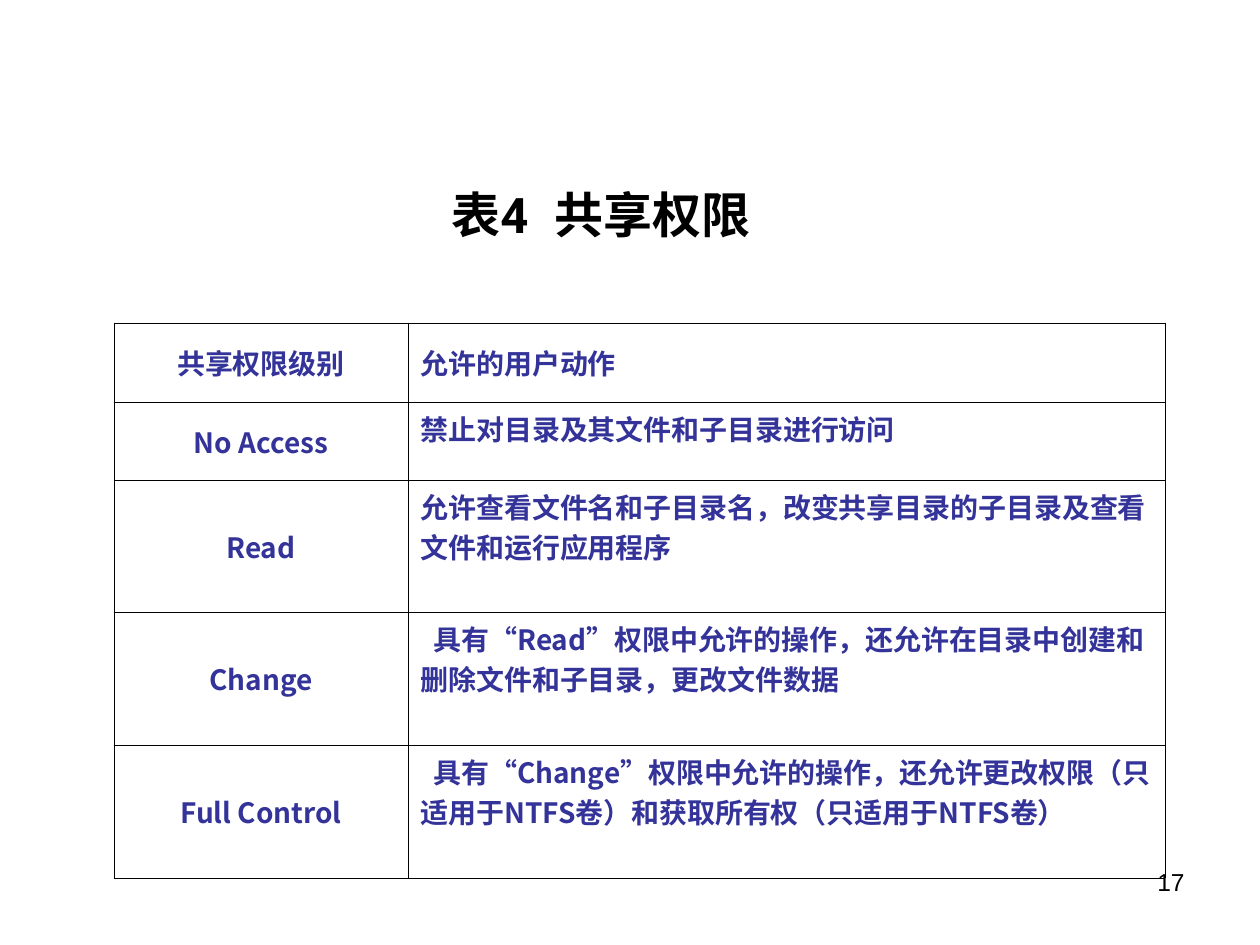
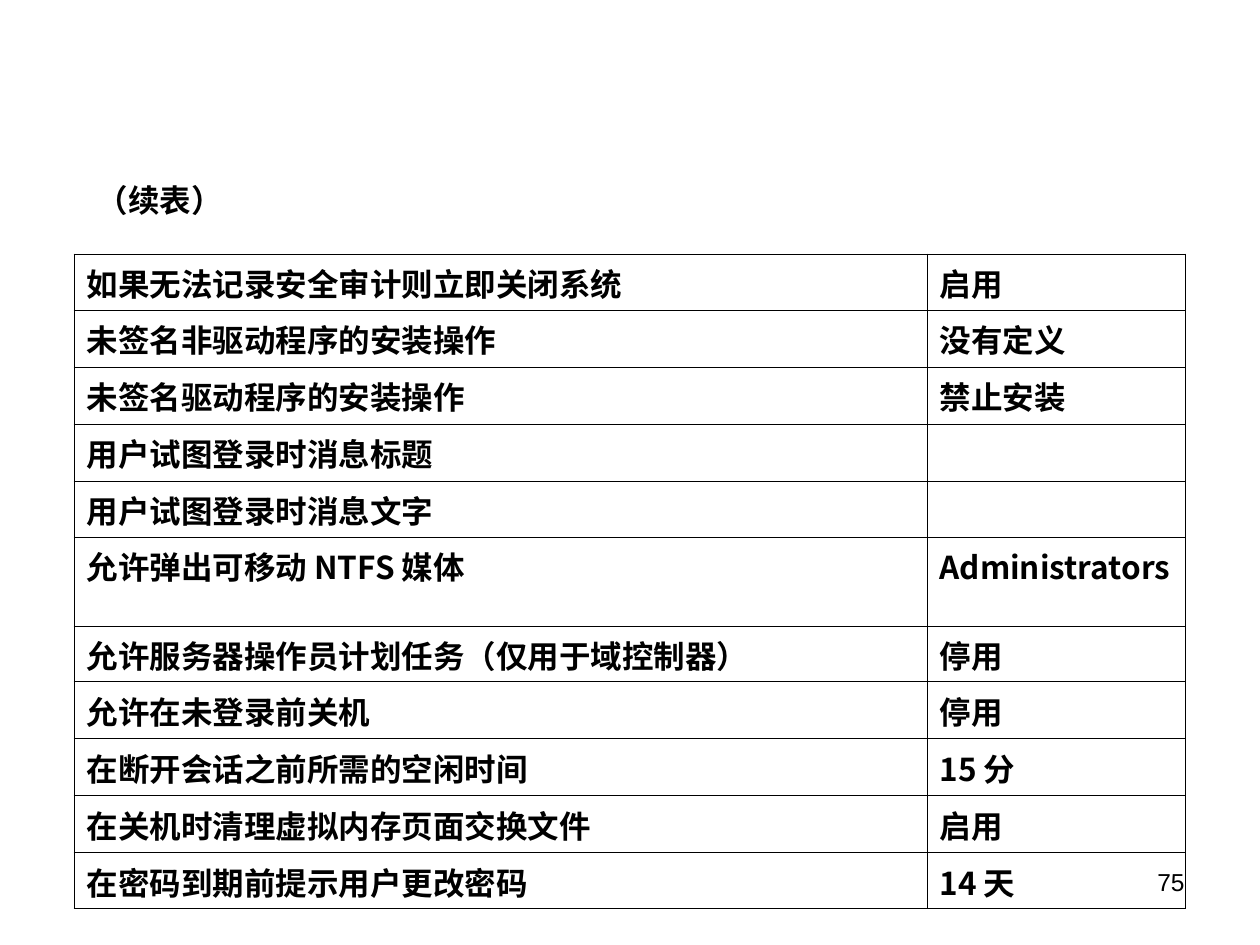
from itertools import groupby

from lxml import etree
from pptx import Presentation
from pptx.dml.color import RGBColor
from pptx.enum import text
from pptx.oxml.ns import qn
from pptx.util import Pt

PX = 914400 / 126  # EMU in one pixel
BLACK = RGBColor(0x00, 0x00, 0x00)
INDIGO = RGBColor(0x33, 0x33, 0x99)
SANS, CJK, DIGITS, QUOTES = "Arial", "Noto Sans CJK SC", "Roboto", "Times New Roman"
TITLE_ONLY = 5
PAGE_NUMBER_BOX = (903, 861, 294, 65)

PERMISSIONS = [
    ("共享权限级别", "允许的用户动作"),
    ("No Access", "禁止对目录及其文件和子目录进行访问"),
    ("Read", "允许查看文件名和子目录名，改变共享目录的子目录及查看文件和运行应用程序"),
    ("Change", "具有“Read”权限中允许的操作，还允许在目录中创建和删除文件和子目录，更改文件数据"),
    ("Full Control", "具有“Change”权限中允许的操作，还允许更改权限"
                     "（只适用于NTFS卷）和获取所有权（只适用于NTFS卷）"),
]
SECURITY_OPTIONS = [
    ("如果无法记录安全审计则立即关闭系统", "启用"),
    ("未签名非驱动程序的安装操作", "没有定义"),
    ("未签名驱动程序的安装操作", "禁止安装"),
    ("用户试图登录时消息标题", ""),
    ("用户试图登录时消息文字", ""),
    ("允许弹出可移动 NTFS 媒体", "Administrators"),
    ("允许服务器操作员计划任务（仅用于域控制器）", "停用"),
    ("允许在未登录前关机", "停用"),
    ("在断开会话之前所需的空闲时间", "15 分"),
    ("在关机时清理虚拟内存页面交换文件", "启用"),
    ("在密码到期前提示用户更改密码", "14 天"),
]


def emu(pixels):
    return round(pixels * PX)


def add_run(paragraph, words, font, size, color=BLACK, bold=True):
    run = paragraph.add_run()
    run.text = words
    run.font.name = font
    run.font.size = Pt(size)
    run.font.bold = bold
    run.font.color.rgb = color
    east_asian = etree.SubElement(run.font._element, qn("a:ea"))
    east_asian.set("typeface", CJK)
    return run


def place_title(slide, box, runs, size, alignment):
    title = slide.shapes.title
    title.left, title.top, title.width, title.height = map(emu, box)
    frame = title.text_frame
    frame.auto_size = text.MSO_AUTO_SIZE.NONE
    frame.vertical_anchor = text.MSO_ANCHOR.TOP
    frame.word_wrap = True
    paragraph = frame.paragraphs[0]
    paragraph.alignment = alignment
    return [add_run(paragraph, words, font, size) for words, font in runs]


def add_page_number(slide, number):
    frame = slide.shapes.add_textbox(*map(emu, PAGE_NUMBER_BOX)).text_frame
    frame.word_wrap = True
    paragraph = frame.paragraphs[0]
    paragraph.alignment = text.PP_ALIGN.RIGHT
    add_run(paragraph, str(number), SANS, 14, bold=False)


def draw_borders(cell):
    cell.fill.background()
    properties = cell._tc.get_or_add_tcPr()
    for index, side in enumerate(("a:lnL", "a:lnR", "a:lnT", "a:lnB")):
        line = etree.Element(qn(side), w=str(Pt(0.45)))
        fill = etree.SubElement(line, qn("a:solidFill"))
        etree.SubElement(fill, qn("a:srgbClr"), val=str(BLACK))
        properties.insert(index, line)


def fill_cell(cell, words, size, color):
    draw_borders(cell)
    paragraph = cell.text_frame.paragraphs[0]
    # Quotation marks have a font of their own
    for is_quote, letters in groupby(words, lambda letter: letter in "“”"):
        add_run(paragraph, "".join(letters), QUOTES if is_quote else CJK, size, color)
    return paragraph


def add_grid(slide, left, top, columns, heights, rows, size, color):
    """Add a bordered table and return it with its paragraphs, row by row."""
    box = (left, top, sum(columns), sum(heights))
    table = slide.shapes.add_table(len(rows), len(columns), *map(emu, box)).table
    table.first_row = table.horz_banding = False
    for column, width in zip(table.columns, columns):
        column.width = emu(width)
    for row, height in zip(table.rows, heights):
        row.height = emu(height)
    paragraphs = [[fill_cell(cell, words, size, color)
                   for cell, words in zip(row.cells, entries)]
                  for row, entries in zip(table.rows, rows)]
    return table, paragraphs


def add_permissions_slide(presentation):
    slide = presentation.slides.add_slide(presentation.slide_layouts[TITLE_ONLY])
    add_page_number(slide, 17)
    runs = place_title(slide, (422, 178, 358, 131),
                       [("表", SANS), ("4", DIGITS), (" ", DIGITS), ("共享权限", SANS)],
                       28, text.PP_ALIGN.CENTER)
    # Widen the gap after the table number by 8 pt
    runs[2].font._element.set("spc", "800")
    table, paragraphs = add_grid(slide, 114, 323, (294, 757), (79, 78, 132, 133, 133),
                                 PERMISSIONS, 16, INDIGO)
    # Levels are centred; the heading row is centred vertically
    for row, (level, _) in enumerate(paragraphs):
        level.alignment = text.PP_ALIGN.CENTER
        table.cell(row, 0).vertical_anchor = text.MSO_ANCHOR.MIDDLE
    table.cell(0, 1).vertical_anchor = text.MSO_ANCHOR.MIDDLE
    # Actions that build on another level start with an indent
    for _, action in paragraphs[3:]:
        action._p.get_or_add_pPr().set("indent", str(emu(13)))


def add_options_slide(presentation):
    slide = presentation.slides.add_slide(presentation.slide_layouts[TITLE_ONLY])
    add_page_number(slide, 75)
    # Five even rows stand on each side of the tall one
    five_rows = (56, 57, 57, 57, 56)
    add_grid(slide, 74, 254, (853, 258), five_rows + (89,) + five_rows,
             SECURITY_OPTIONS, 18, BLACK)
    place_title(slide, (84, 175, 200, 50), [("（续表）", DIGITS)],
                18, text.PP_ALIGN.LEFT)


def main():
    presentation = Presentation()
    presentation.slide_width, presentation.slide_height = emu(1260), emu(945)
    add_permissions_slide(presentation)
    add_options_slide(presentation)
    presentation.save("out.pptx")


if __name__ == "__main__":
    main()
